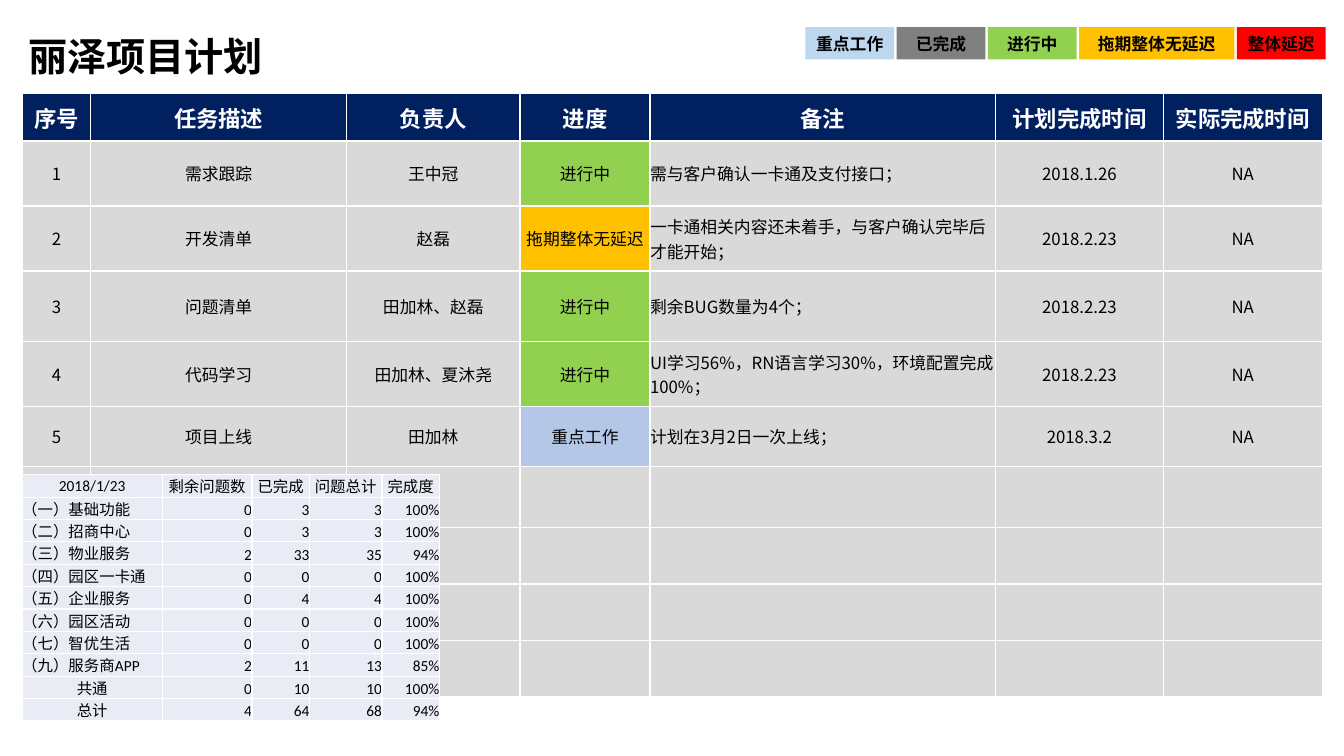
"""Builds the project plan slide with its status legend and issue summary."""
import lxml.etree
import pptx
import pptx.dml.color
import pptx.enum.lang
import pptx.enum.shapes
import pptx.enum.text
import pptx.oxml.ns
import pptx.util

ALIGN = pptx.enum.text.PP_ALIGN
ANCHOR = pptx.enum.text.MSO_ANCHOR
COLOURS = {
    "white": "FFFFFF", "black": "000000", "navy": "002060", "plan": "D9D9D9",
    "summary": "E9EBF5", "重点工作": "BDD7EE", "已完成": "808080",
    "进行中": "92D050", "拖期整体无延迟": "FFC000", "整体延迟": "FF0000",
    "key_cell": "B4C7E7",
}
CJK_FONT = "Noto Sans CJK SC"
GRID_COLUMNS, GRID_ROWS = 160, 90
NO_INSETS = dict.fromkeys(
    ("margin_left", "margin_right", "margin_top", "margin_bottom"), 0)

PLAN_HEADER = ["序号", "任务描述", "负责人", "进度", "备注", "计划完成时间", "实际完成时间"]
PLAN_TASKS = [
    ["1", "需求跟踪", "王中冠", "进行中", "需与客户确认一卡通及支付接口；", "2018.1.26", "NA"],
    ["2", "开发清单", "赵磊", "拖期整体无延迟",
     "一卡通相关内容还未着手，与客户确认完毕后才能开始；", "2018.2.23", "NA"],
    ["3", "问题清单", "田加林、赵磊", "进行中", "剩余BUG数量为4个；", "2018.2.23", "NA"],
    ["4", "代码学习", "田加林、夏沐尧", "进行中",
     "UI学习56%，RN语言学习30%，环境配置完成100%；", "2018.2.23", "NA"],
    ["5", "项目上线", "田加林", "重点工作", "计划在3月2日一次上线；", "2018.3.2", "NA"],
]
PLAN_WIDTHS = [8.16, 30.48, 20.64, 15.48, 41.16, 19.92, 18.96]
PLAN_HEIGHTS = [5.64, 7.74, 7.74, 8.4, 7.74, 7.14, 7.26] + [6.72] * 3
SUMMARY = [
    ["2018/1/23", "剩余问题数", "已完成", "问题总计", "完成度"],
    ["（一）基础功能", "0", "3", "3", "100%"],
    ["（二）招商中心", "0", "3", "3", "100%"],
    ["（三）物业服务", "2", "33", "35", "94%"],
    ["（四）园区一卡通", "0", "0", "0", "100%"],
    ["（五）企业服务", "0", "4", "4", "100%"],
    ["（六）园区活动", "0", "0", "0", "100%"],
    ["（七）智优生活", "0", "0", "0", "100%"],
    ["（九）服务商APP", "2", "11", "13", "85%"],
    ["共通", "0", "10", "10", "100%"],
    ["总计", "4", "64", "68", "94%"],
]
SUMMARY_WIDTHS = [16.68, 10.68, 6.84, 8.64, 6.84]
SUMMARY_ROW = 2.33
LEGEND = [("重点工作", 10.56), ("已完成", 10.56), ("进行中", 10.56),
          ("拖期整体无延迟", 18.48), ("整体延迟", 10.56)]
LEGEND_GAP = 0.3


def assign(target, values):
    for name, value in values.items():
        setattr(target, name, value)


def rgb(name):
    return pptx.dml.color.RGBColor.from_string(COLOURS[name])


class PlanSlide:
    def __init__(self, deck):
        self.column = deck.slide_width / GRID_COLUMNS
        self.row = deck.slide_height / GRID_ROWS
        self.page = deck.slides.add_slide(deck.slide_layouts[5])
        self.paint(self.page.background.fill, "white")

    def place(self, left, top, width, height):
        return [round(left * self.column), round(top * self.row),
                round(width * self.column), round(height * self.row)]

    def paint(self, fill, colour):
        fill.solid()
        fill.fore_color.rgb = rgb(colour)

    def set_text(self, frame, text, size, colour="black", bold=False,
                 align=ALIGN.CENTER, face=CJK_FONT):
        para = frame.paragraphs[0]
        para.alignment = align
        span = para.add_run()
        span.text = text
        assign(span.font, {
            "name": face, "size": pptx.util.Pt(size), "bold": bold,
            "language_id": pptx.enum.lang.MSO_LANGUAGE_ID.SIMPLIFIED_CHINESE})
        span.font.color.rgb = rgb(colour)
        lxml.etree.SubElement(span.font._element, pptx.oxml.ns.qn("a:ea"),
                              typeface=CJK_FONT)
        return para

    def title(self, text, place):
        box = self.page.shapes.title
        assign(box, dict(zip(("left", "top", "width", "height"), self.place(*place))))
        assign(box.text_frame, {"vertical_anchor": ANCHOR.MIDDLE, "word_wrap": True})
        para = self.set_text(box.text_frame, text, 28, bold=True, align=ALIGN.LEFT)
        para.line_spacing = 0.9

    def label(self, status, place):
        box = self.page.shapes.add_shape(
            pptx.enum.shapes.MSO_SHAPE.RECTANGLE, *self.place(*place))
        box.shadow.inherit = False
        self.paint(box.fill, status)
        box.line.fill.background()
        assign(box.text_frame, {**NO_INSETS, "vertical_anchor": ANCHOR.MIDDLE,
                                "word_wrap": True})
        self.set_text(box.text_frame, status, 12, bold=True)

    def table(self, left, top, widths, heights):
        frame = self.page.shapes.add_table(
            len(heights), len(widths),
            *self.place(left, top, sum(widths), sum(heights)))
        table = frame.table
        assign(table, {"first_row": False, "horz_banding": False})
        for column, width in zip(table.columns, widths):
            column.width = round(width * self.column)
        for row, height in zip(table.rows, heights):
            row.height = round(height * self.row)
        return table

    def cell(self, cell, fill, text="", anchor=ANCHOR.MIDDLE, **style):
        assign(cell, {**NO_INSETS, "vertical_anchor": anchor})
        qn = pptx.oxml.ns.qn
        properties = cell._tc.get_or_add_tcPr()
        for side in ("a:lnL", "a:lnR", "a:lnT", "a:lnB"):
            edge = lxml.etree.SubElement(properties, qn(side), w=str(pptx.util.Pt(1)))
            solid = lxml.etree.SubElement(edge, qn("a:solidFill"))
            lxml.etree.SubElement(solid, qn("a:srgbClr"), val=COLOURS["white"])
        self.paint(cell.fill, fill)
        if text:
            self.set_text(cell.text_frame, text, **style)

    def plan(self, left, top):
        table = self.table(left, top, PLAN_WIDTHS, PLAN_HEIGHTS)
        for c, text in enumerate(PLAN_HEADER):
            self.cell(table.cell(0, c), "navy", text, size=16, colour="white", bold=True)
        blank = [[""] * len(PLAN_HEADER)] * (len(PLAN_HEIGHTS) - 1 - len(PLAN_TASKS))
        for r, task in enumerate(PLAN_TASKS + blank, 1):
            for c, text in enumerate(task):
                fill = "key_cell" if text == "重点工作" else text
                self.cell(table.cell(r, c), fill if c == 3 and text else "plan", text,
                          size=12, align=ALIGN.LEFT if c == 4 else ALIGN.CENTER)

    def summary(self, left, top):
        table = self.table(left, top, SUMMARY_WIDTHS, [SUMMARY_ROW] * len(SUMMARY))
        for r, record in enumerate(SUMMARY):
            for c, text in enumerate(record):
                align = ALIGN.RIGHT if c else ALIGN.LEFT
                if r == 0 or text in ("共通", "总计"):
                    align = ALIGN.CENTER
                middle = r == 0 or text == "总计"
                self.cell(table.cell(r, c), "summary", text,
                          anchor=ANCHOR.MIDDLE if middle else ANCHOR.BOTTOM,
                          size=11, align=align, face="Calibri")

    def legend(self, left, top, height):
        for status, width in LEGEND:
            self.label(status, (left, top, width, height))
            left += width + LEGEND_GAP


def main():
    deck = pptx.Presentation()
    assign(deck, {"slide_width": pptx.util.Inches(13.33),
                  "slide_height": pptx.util.Inches(7.5)})
    slide = PlanSlide(deck)
    slide.title("丽泽项目计划", (2.16, 2.76, 138, 8.4))
    slide.plan(2.64, 11.16)
    slide.legend(95.88, 3.24, 3.84)
    slide.summary(2.64, 56.52)
    deck.save("out.pptx")


if __name__ == "__main__":
    main()
